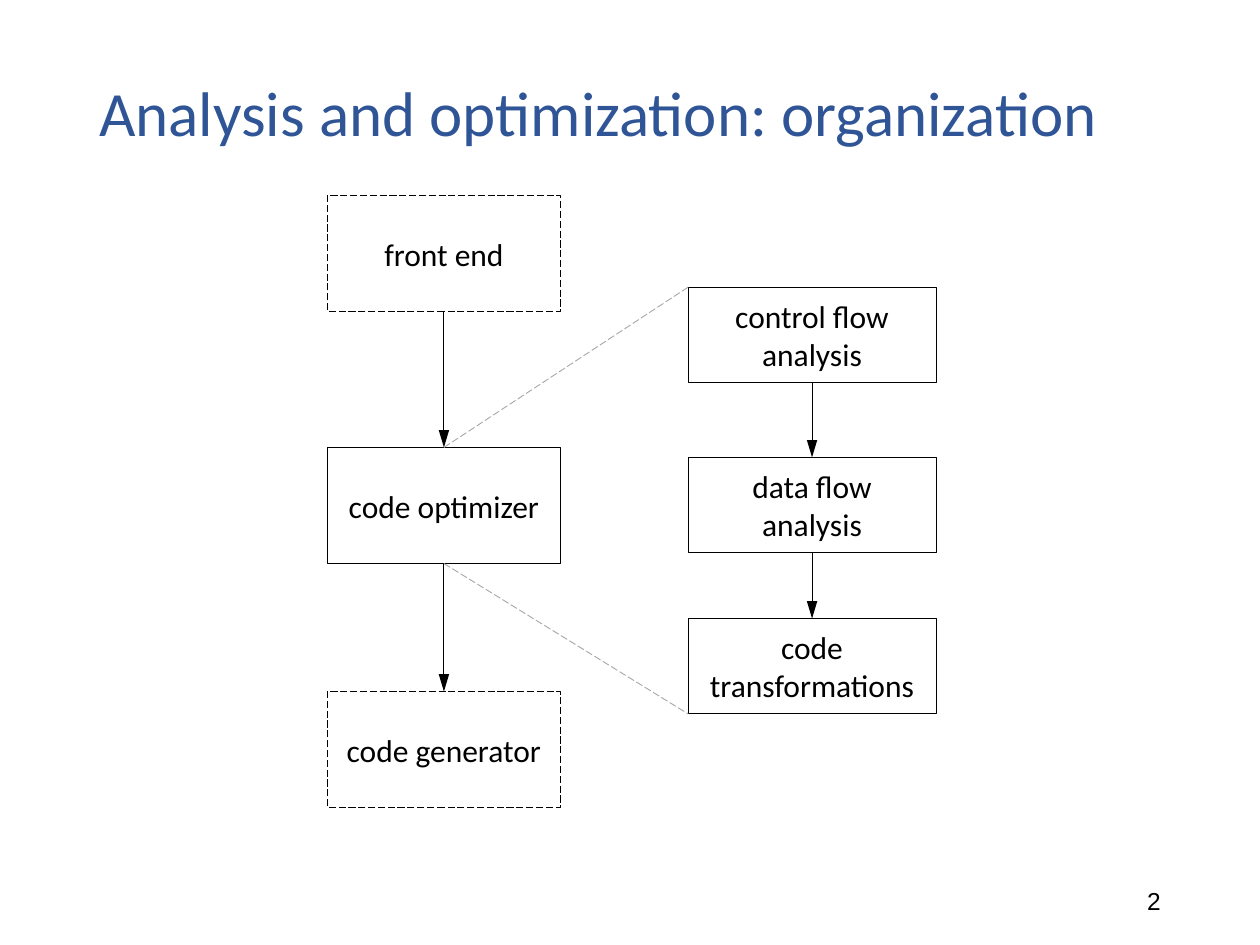
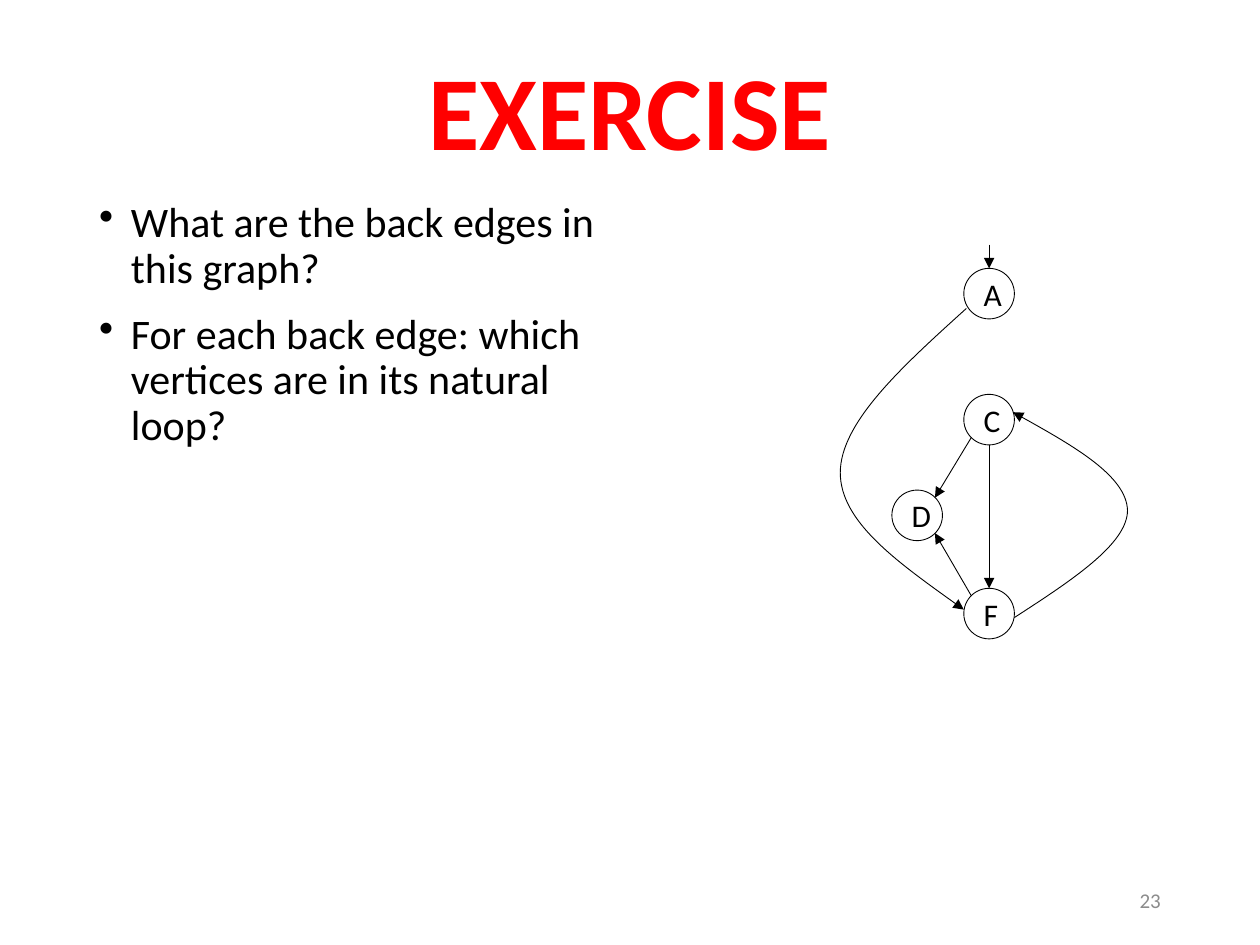
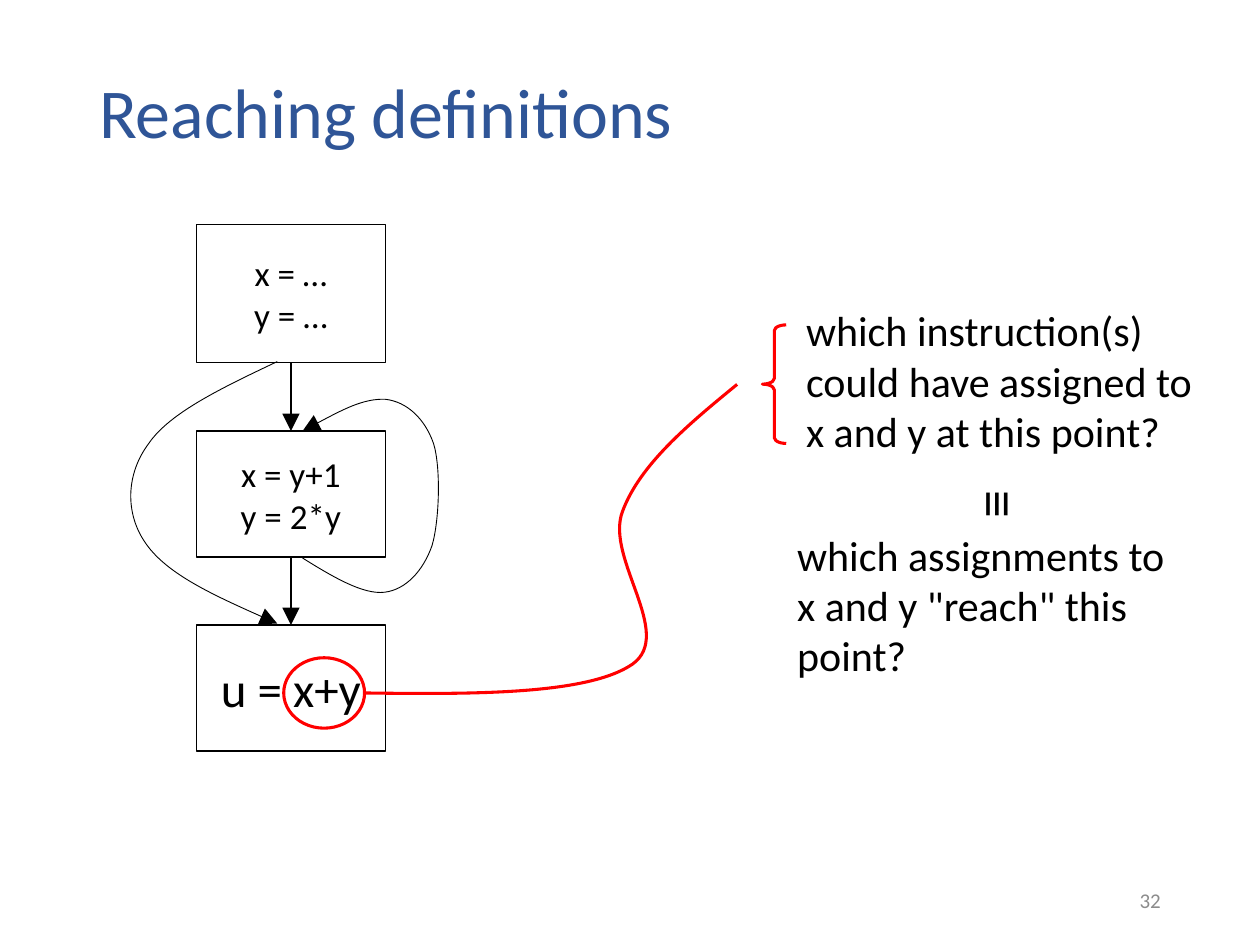
from lxml.etree import SubElement
from pptx import Presentation
from pptx.dml.color import RGBColor
from pptx.enum.dml import MSO_LINE_DASH_STYLE as Dash
from pptx.enum.shapes import MSO_CONNECTOR as Connector, MSO_SHAPE as Preset
from pptx.enum.text import MSO_ANCHOR as Anchor, PP_ALIGN as Align
from pptx.oxml.ns import qn
from pptx.util import Cm, Pt

BLACK = RGBColor(0x00, 0x00, 0x00)
BLUE = RGBColor(0x2F, 0x55, 0x97)
RED = RGBColor(0xFF, 0x00, 0x00)
GREY = RGBColor(0x8C, 0x8C, 0x8C)
LIGHT_GREY = RGBColor(0xA6, 0xA6, 0xA6)

TITLE_AREA = (1.75, 1.01, 21.9, 2.67)
NUMBER_AREA = (17.94, 17.65, 5.71, 1.01)
THIN, MEDIUM, THICK = 0.5, 0.75, 1.75

TOP, BOTTOM = (0.5, 0), (0.5, 1)
TOP_LEFT, BOTTOM_LEFT = (0, 0), (0, 1)


def anchor(shape, position):
    """Return the point, in cm, at a fraction of the shape's width and height."""
    across, down = position
    return ((shape.left + across * shape.width) / Cm(1),
            (shape.top + down * shape.height) / Cm(1))


class Deck:
    """Holds the style, the presentation and the slide being built."""

    font_name = "Calibri"

    def __init__(self):
        self.presentation = Presentation()
        self.presentation.slide_width = Cm(25.4)
        self.presentation.slide_height = Cm(19.05)
        self.slide = None
        self.arrow_size = ("med", "med")

    def new_slide(self, title, number, title_size=40, title_color=BLUE, title_align=Align.LEFT,
                  bold=False, number_style=(12, GREY, "Calibri"), arrow_size=("med", "med")):
        """Start a slide; arrow_size is the width and length of its arrowheads."""
        self.slide = self.presentation.slides.add_slide(self.presentation.slide_layouts[6])
        self.arrow_size = arrow_size
        heading = self.text(TITLE_AREA, title, title_size, title_color, title_align,
                            Anchor.MIDDLE, bold=bold)
        heading.text_frame.paragraphs[0].line_spacing = 0.9
        size, color, font_name = number_style
        self.text(NUMBER_AREA, str(number), size, color, Align.RIGHT, Anchor.MIDDLE, font_name)

    def fill_text(self, shape, text, size, color=BLACK, align=Align.LEFT, font_name=None,
                  bold=False):
        shape.text_frame.text = text
        for paragraph in shape.text_frame.paragraphs:
            paragraph.alignment = align
            for run in paragraph.runs:
                run.font.name = font_name or self.font_name
                run.font.size = Pt(size)
                run.font.bold = bold
                run.font.color.rgb = color

    def text(self, area, text, size, color=BLACK, align=Align.LEFT, vertical=Anchor.TOP,
             font_name=None, bold=False, wrap=True):
        box = self.slide.shapes.add_textbox(*map(Cm, area))
        box.text_frame.word_wrap = wrap
        box.text_frame.vertical_anchor = vertical
        self.fill_text(box, text, size, color, align, font_name, bold)
        return box

    def bullets(self, area, items, size):
        box = self.text(area, "\n".join(items), size)
        for paragraph in box.text_frame.paragraphs:
            properties = paragraph._p.get_or_add_pPr()
            properties.set("marL", str(Cm(0.64)))
            properties.set("indent", str(-Cm(0.64)))
            SubElement(properties, qn("a:buChar"), char="•")
            paragraph.line_spacing = 0.9
            paragraph.space_after = Pt(12)

    def stroke(self, shape, color, width, dash=None, arrow=False):
        shape.line.color.rgb = color
        shape.line.width = Pt(width)
        if dash:
            shape.line.dash_style = dash
        if arrow:
            outline = shape.element.spPr.find(qn("a:ln"))
            head_width, head_length = self.arrow_size
            SubElement(outline, qn("a:tailEnd"), type="triangle", w=head_width, len=head_length)

    def shape(self, preset, area, text="", size=18, color=BLACK, width=THIN, dash=None):
        shape = self.slide.shapes.add_shape(preset, *map(Cm, area))
        shape.shadow.inherit = False
        shape.fill.background()
        self.stroke(shape, color, width, dash)
        if text:
            shape.text_frame.vertical_anchor = Anchor.MIDDLE
            self.fill_text(shape, text, size, align=Align.CENTER)
        return shape

    def line(self, start, end, color=BLACK, width=THIN, dash=None, arrow=True):
        connector = self.slide.shapes.add_connector(Connector.STRAIGHT, *map(Cm, start + end))
        self.stroke(connector, color, width, dash, arrow)
        SubElement(connector.element.spPr, qn("a:effectLst"))

    def curve(self, start, points, color=BLACK, width=THIN, arrow=True):
        """Draw Bézier curves; every three points are two handles and an end."""
        builder = self.slide.shapes.build_freeform(*map(Cm, start))
        builder.add_line_segments([(Cm(x), Cm(y)) for x, y in points], close=False)
        shape = builder.convert_to_shape()
        segments = list(shape.element.iter(qn("a:lnTo")))
        outline = segments[0].getparent()
        for first in range(0, len(segments), 3):
            bezier = SubElement(outline, qn("a:cubicBezTo"))
            for segment in segments[first:first + 3]:
                bezier.append(segment[0])
                outline.remove(segment)
        shape.shadow.inherit = False
        shape.fill.background()
        self.stroke(shape, color, width, arrow=arrow)


def add_organization(deck):
    deck.new_slide("Analysis and optimization: organization", 2, title_size=36,
                   number_style=(14, BLACK, "Arial"), arrow_size=("med", "lg"))
    stages = [deck.shape(Preset.RECTANGLE, (6.6, top, 4.7, 2.34), name, dash=dash)
              for name, top, dash in (("front end", 3.94, Dash.LONG_DASH),
                                      ("code optimizer", 9.02, None),
                                      ("code generator", 13.94, Dash.LONG_DASH))]
    steps = [deck.shape(Preset.RECTANGLE, (13.87, top, 5, 1.92), name)
             for name, top in (("control flow analysis", 5.79),
                               ("data flow analysis", 9.22),
                               ("code transformations", 12.47))]
    for column in (stages, steps):
        for upper, lower in zip(column, column[1:]):
            deck.line(anchor(upper, BOTTOM), anchor(lower, TOP))
    optimizer = stages[1]
    for step, side, corner in ((steps[0], TOP, TOP_LEFT), (steps[-1], BOTTOM, BOTTOM_LEFT)):
        deck.line(anchor(optimizer, side), anchor(step, corner), LIGHT_GREY,
                  dash=Dash.LONG_DASH, arrow=False)


def add_exercise(deck):
    deck.new_slide("EXERCISE", 23, 60, RED, Align.CENTER, bold=True)
    deck.bullets((1.75, 3.94, 11.4, 13.23),
                 ["What are the back edges in this graph?",
                  "For each back edge: which vertices are in its natural loop?"], 24)
    nodes = {name: deck.shape(Preset.OVAL, (left, top, 1.02, 1.02), name)
             for name, left, top in (("A", 19.43, 5.41), ("C", 19.43, 7.95),
                                     ("D", 17.98, 9.88), ("F", 19.43, 11.86))}
    near, far = 0.15, 0.85
    deck.line((19.94, 4.93), anchor(nodes["A"], TOP))
    for source, exit_side, target, entry_side in (("C", (near, far), "D", (far, near)),
                                                  ("C", BOTTOM, "F", TOP),
                                                  ("F", (near, near), "D", (far, far))):
        deck.line(anchor(nodes[source], exit_side), anchor(nodes[target], entry_side))
    deck.curve((20.45, 12.45), [(21.59, 11.71), (22.73, 10.97), (22.73, 10.29),
                                (22.71, 9.6), (21.56, 8.94), (20.42, 8.31)])
    deck.curve((19.48, 6.22), [(18.21, 7.37), (16.94, 8.51), (16.94, 9.53),
                               (16.94, 10.52), (18.19, 11.4), (19.43, 12.29)])


def add_reaching_definitions(deck):
    deck.new_slide("Reaching definitions", 32, arrow_size=("lg", "lg"))
    blocks = [deck.shape(Preset.RECTANGLE, (3.96, top, 3.81, height), code, size, width=MEDIUM)
              for code, top, height, size in (("x = …\ny = …", 4.52, 2.79, 20),
                                              ("x = y+1\ny = 2*y", 8.69, 2.54, 20),
                                              ("u = x+y", 12.6, 2.54, 28))]
    for upper, lower in zip(blocks, blocks[1:]):
        deck.line(anchor(upper, BOTTOM), anchor(lower, TOP), width=MEDIUM)
    deck.curve((6.1, 11.25), [(6.71, 11.63), (7.32, 11.99), (7.75, 11.94),
                              (8.18, 11.89), (8.53, 11.51), (8.71, 11),
                              (8.86, 10.49), (8.89, 9.42), (8.74, 8.94),
                              (8.56, 8.43), (8.2, 8.1), (7.77, 8.05),
                              (7.32, 8.03), (6.71, 8.36), (6.1, 8.69)])
    deck.curve((5.59, 7.29), [(4.52, 7.8), (3.43, 8.31), (3, 8.94),
                              (2.54, 9.55), (2.51, 10.36), (2.95, 10.97),
                              (3.38, 11.58), (4.5, 12.09), (5.59, 12.57)])

    deck.shape(Preset.OVAL, (5.72, 13.26, 1.63, 1.42), color=RED, width=THICK)
    deck.curve((7.34, 13.97), [(9.6, 14), (11.86, 14), (12.75, 13.39),
                               (13.61, 12.78), (12.19, 11.25), (12.55, 10.31),
                               (12.9, 9.37), (13.87, 8.56), (14.86, 7.75)],
               RED, THICK, arrow=False)
    brace = deck.shape(Preset.LEFT_BRACE, (15.37, 6.55, 0.48, 2.39), color=RED, width=THICK)
    brace.adjustments[0] = 0.24
    deck.text((16, 6.02, 8.38, 3.33),
              "which instruction(s) could have assigned to x and y at this point?", 24)
    deck.text((15.82, 10.54, 8.38, 3.33),
              'which assignments to x and y "reach" this point?', 24)
    equivalence = deck.text((19.61, 9.4, 1.14, 1.63), "≡", 32, wrap=False)
    equivalence.rotation = 90


def main():
    deck = Deck()
    add_organization(deck)
    add_exercise(deck)
    add_reaching_definitions(deck)
    deck.presentation.save("out.pptx")


if __name__ == "__main__":
    main()
